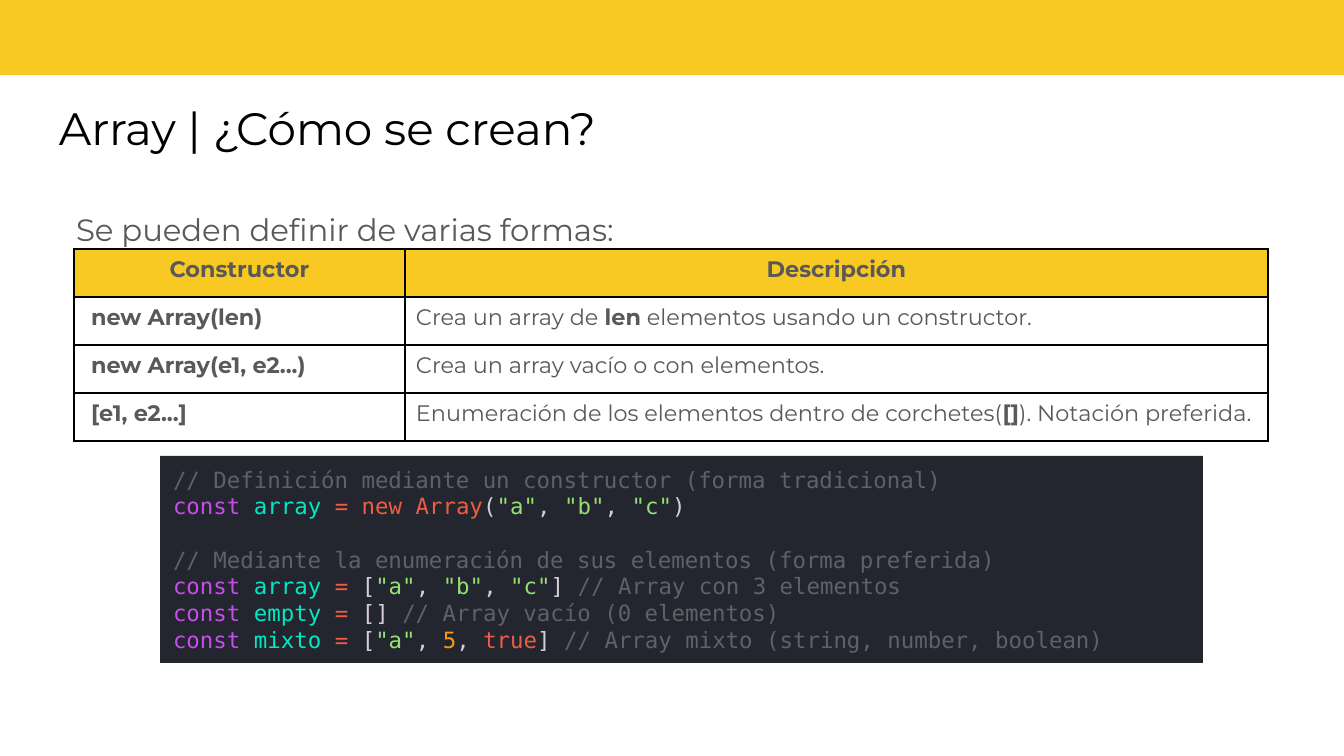
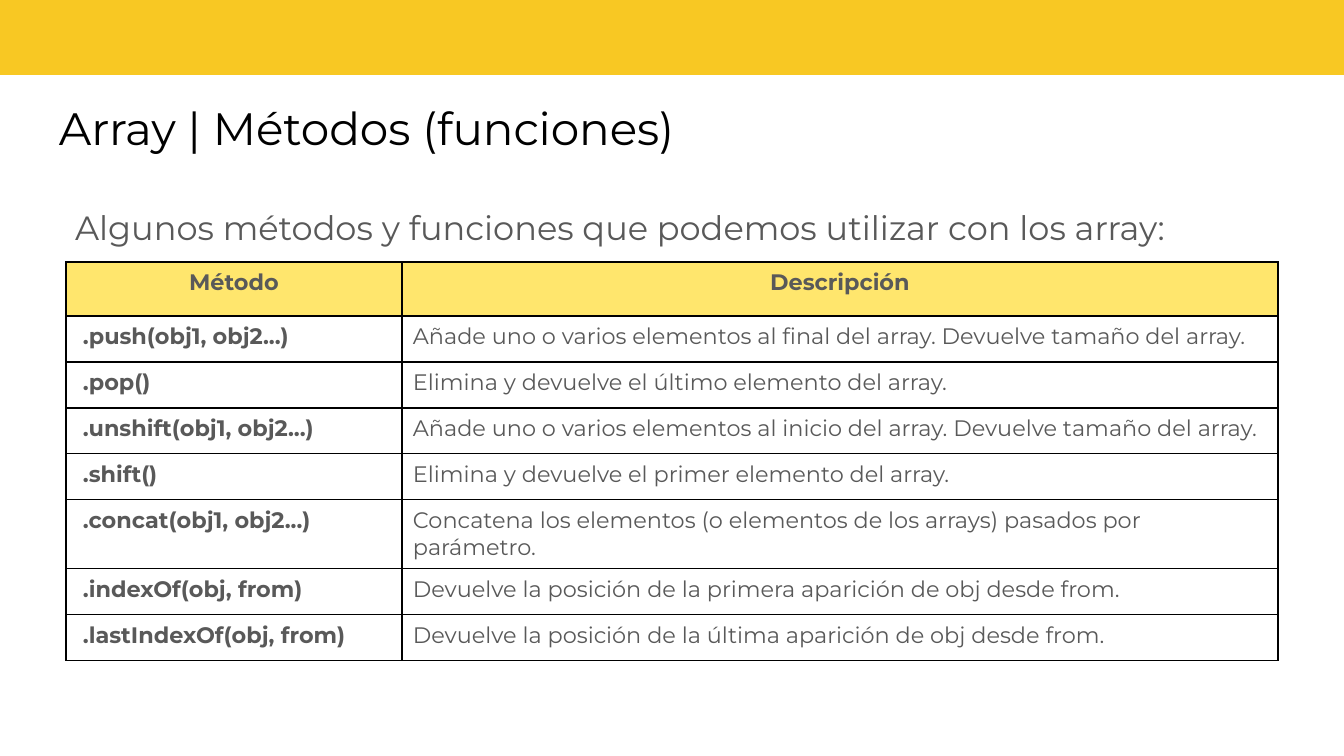
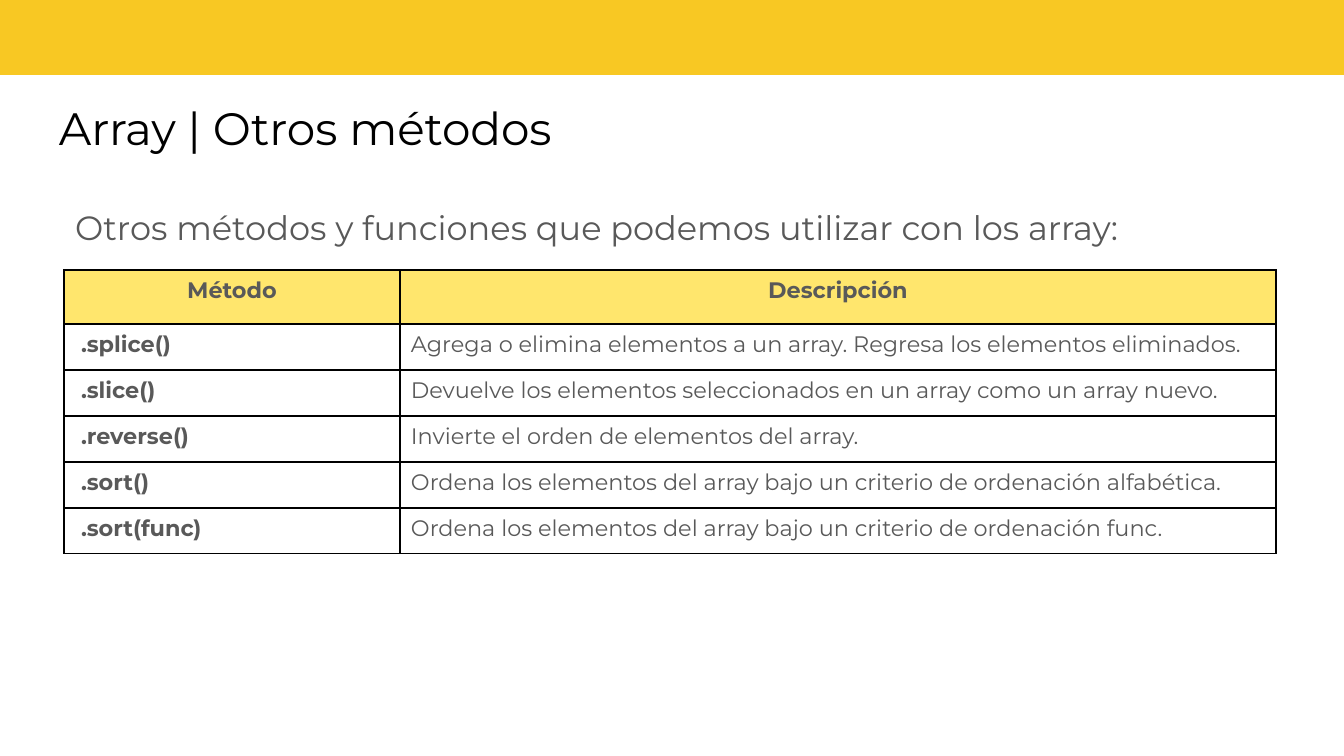
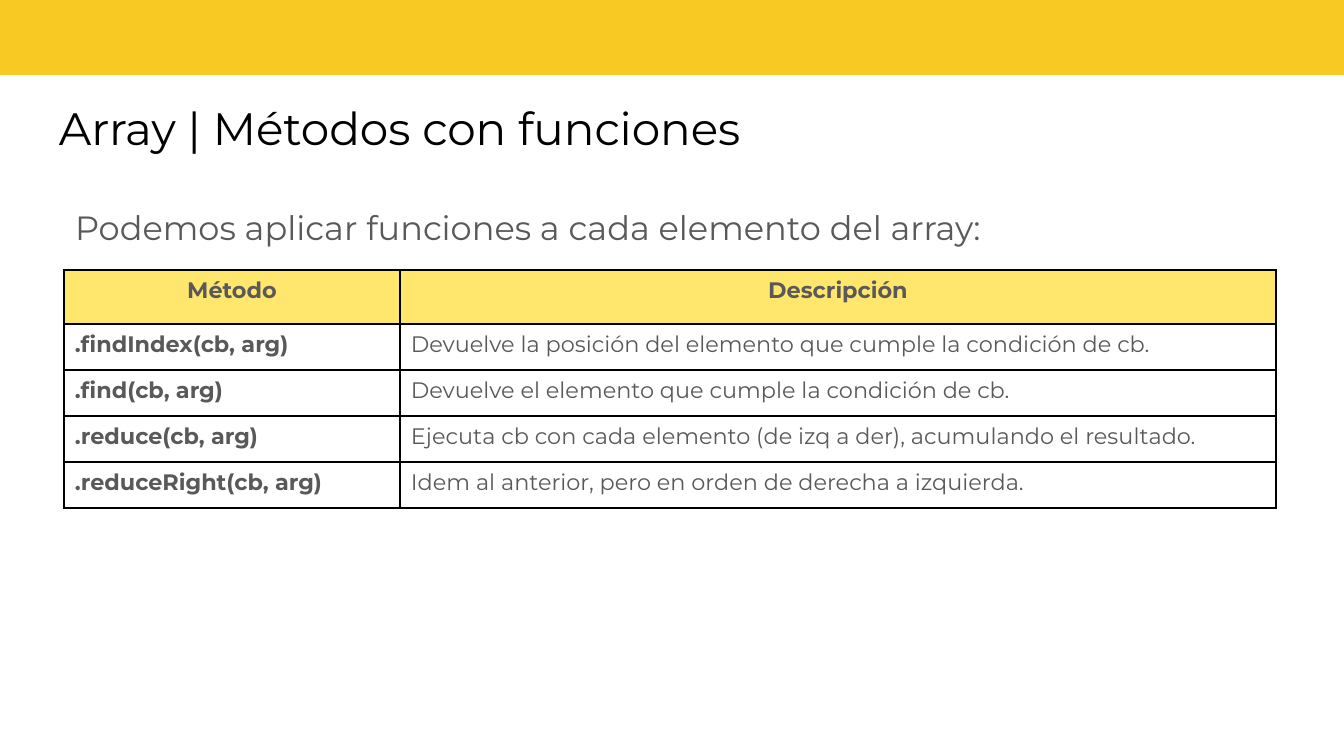
"""Build four slides on creating and using JavaScript arrays."""
import dataclasses

import pptx
import pptx.dml.color
import pptx.enum.shapes
import pptx.enum.text
import pptx.oxml
import pptx.oxml.ns
import pptx.util

PX = 9144000 / 1344
ALIGN = pptx.enum.text.PP_ALIGN
ANCHOR = pptx.enum.text.MSO_ANCHOR
RECT = pptx.enum.shapes.MSO_SHAPE.RECTANGLE
rgb = pptx.dml.color.RGBColor.from_string


@dataclasses.dataclass(frozen=True)
class Theme:
    band: str = "F8C823"
    pale: str = "FFE66D"
    title: str = "000000"
    text: str = "595959"
    border: str = "000000"
    code_bg: str = "23262E"
    comment: str = "5F6167"
    const: str = "C74DED"
    name: str = "00E8C6"
    keyword: str = "EE5D43"
    plain: str = "D5CED9"
    string: str = "96E072"
    number: str = "F39C12"
    font: str = "Montserrat"
    mono: str = "DejaVu Sans Mono"
    title_size: float = 24.3
    small: float = 12


T = Theme()


def px(*values):
    return [pptx.util.Emu(round(v * PX)) for v in values]


def style(p, size, color, bold=False, font=T.font):
    p.font.name, p.font.size, p.font.bold = font, pptx.util.Pt(size), bold
    p.font.color.rgb = rgb(color)


METHOD_HEAD = ("Método", "Descripción")
slides = [
    dict(title="Array | ¿Cómo se crean?", lead="Se pueden definir de varias formas:",
         lead_at=(63, 192), lead_size=16.5, after=0, table_at=(74, 249), cols=(331, 863),
         heights=[48] * 4, head_fill=T.band, indent=17,
         rows=[("Constructor", "Descripción"),
               ("new Array(len)", "Crea un array de **len** elementos usando un constructor."),
               ("new Array(e1, e2...)", "Crea un array vacío o con elementos."),
               ("[e1, e2...]", "Enumeración de los elementos dentro de corchetes(**[]**). Notación preferida.")]),
    dict(title="Array | Métodos (funciones)",
         lead="Algunos métodos y funciones que podemos utilizar con los array:",
         table_at=(66, 262), heights=[54] + [46] * 4 + [69] + [46] * 2, indent=17,
         rows=[METHOD_HEAD,
               (".push(obj1, obj2...)", "Añade uno o varios elementos al final del array. Devuelve tamaño del array."),
               (".pop()", "Elimina y devuelve el último elemento del array."),
               (".unshift(obj1, obj2...)", "Añade uno o varios elementos al inicio del array. Devuelve tamaño del array."),
               (".shift()", "Elimina y devuelve el primer elemento del array."),
               (".concat(obj1, obj2...)", "Concatena los elementos (o elementos de los arrays) pasados por parámetro."),
               (".indexOf(obj, from)", "Devuelve la posición de la primera aparición de obj desde from."),
               (".lastIndexOf(obj, from)", "Devuelve la posición de la última aparición de obj desde from.")]),
    dict(title="Array | Otros métodos",
         lead="Otros métodos y funciones que podemos utilizar con los array:",
         table_at=(64, 270), heights=[54] + [46] * 5, indent=17,
         rows=[METHOD_HEAD,
               (".splice()", "Agrega o elimina elementos a un array. Regresa los elementos eliminados."),
               (".slice()", "Devuelve los elementos seleccionados en un array como un array nuevo."),
               (".reverse()", "Invierte el orden de elementos del array."),
               (".sort()", "Ordena los elementos del array bajo un criterio de ordenación alfabética."),
               (".sort(func)", "Ordena los elementos del array bajo un criterio de ordenación func.")]),
    dict(title="Array | Métodos con funciones",
         lead="Podemos aplicar funciones a cada elemento del array:",
         table_at=(64, 270), heights=[54] + [46] * 4, indent=11,
         rows=[METHOD_HEAD,
               (".findIndex(cb, arg)", "Devuelve la posición del elemento que cumple la condición de cb."),
               (".find(cb, arg)", "Devuelve el elemento que cumple la condición de cb."),
               (".reduce(cb, arg)", "Ejecuta cb con cada elemento (de izq a der), acumulando el resultado."),
               (".reduceRight(cb, arg)", "Idem al anterior, pero en orden de derecha a izquierda.")]),
]
defaults = dict(lead_at=(62, 188), lead_size=18, after=12, cols=(336, 876), head_fill=T.pale)

CONST = (T.const, "const ")
EQUALS = (T.keyword, "= ")
COMMA = (T.plain, ", ")
ABC = [(T.string, '"a"'), COMMA, (T.string, '"b"'), COMMA, (T.string, '"c"')]
code = [
    [(T.comment, "// Definición mediante un constructor (forma tradicional)")],
    [CONST, (T.name, "array "), (T.keyword, "= new Array"), (T.plain, "("), *ABC, (T.plain, ")")],
    [(T.comment, "// Mediante la enumeración de sus elementos (forma preferida)")],
    [CONST, (T.name, "array "), EQUALS, (T.plain, "["), *ABC, (T.plain, "] "),
     (T.comment, "// Array con 3 elementos")],
    [CONST, (T.name, "empty "), EQUALS, (T.plain, "[] "),
     (T.comment, "// Array vacío (0 elementos)")],
    [CONST, (T.name, "mixto "), EQUALS, (T.plain, "["), (T.string, '"a"'), COMMA,
     (T.number, "5"), COMMA, (T.keyword, "true"), (T.plain, "] "),
     (T.comment, "// Array mixto (string, number, boolean)")],
]

prs = pptx.Presentation()
prs.slide_width, prs.slide_height = px(1344, 756)

for d in slides:
    d = defaults | d
    s = prs.slides.add_slide(prs.slide_layouts[6])
    band = s.shapes.add_shape(RECT, *px(-1, -7, 1348, 82))
    band.shadow.inherit = False
    band.fill.solid()
    band.fill.fore_color.rgb = rgb(T.band)
    band.line.fill.background()

    for text, box, size, color, spacing, after in (
            (d["title"], (46, 87, 1250, 85), T.title_size, T.title, 1.0, 0),
            (d["lead"], (*d["lead_at"], 1218, 488), d["lead_size"], T.text, 1.15, d["after"])):
        tf = s.shapes.add_textbox(*px(*box)).text_frame
        tf.word_wrap = True
        tf.margin_left = tf.margin_right = tf.margin_top = tf.margin_bottom = px(13)[0]
        p = tf.paragraphs[0]
        p.text, p.line_spacing, p.space_after = text, spacing, pptx.util.Pt(after)
        style(p, size, color)

    rows = d["rows"]
    table = s.shapes.add_table(
        len(rows), 2, *px(*d["table_at"], sum(d["cols"]), sum(d["heights"]))).table
    table.first_row = table.horz_banding = False
    for col, width in zip(table.columns, px(*d["cols"])):
        col.width = width
    for row, height in zip(table.rows, px(*d["heights"])):
        row.height = height
    for i, row in enumerate(rows):
        for j, text in enumerate(row):
            cell = table.cell(i, j)
            head = i == 0
            indent = 11 if head or j else d["indent"]
            cell.margin_left, cell.margin_right, cell.margin_top, cell.margin_bottom = px(indent, 11, 7, 7)
            if head:
                cell.fill.solid()
                cell.fill.fore_color.rgb = rgb(d["head_fill"])
            else:
                cell.fill.background()
            p = cell.text_frame.paragraphs[0]
            p.alignment = ALIGN.CENTER if head else ALIGN.LEFT
            style(p, T.small, T.text, head or j == 0)
            for k, part in enumerate(text.split("**")):
                r = p.add_run()
                r.text = part
                if k % 2:
                    r.font.bold = True
            for k, side in enumerate("LRTB"):
                cell._tc.get_or_add_tcPr().insert(k, pptx.oxml.parse_xml(
                    f'<a:ln{side} {pptx.oxml.ns.nsdecls("a")} w="9525"><a:solidFill>'
                    f'<a:srgbClr val="{T.border}"/></a:solidFill></a:ln{side}>'))

sp = prs.slides[0].shapes.add_shape(RECT, *px(160, 456, 1043, 207))
sp.shadow.inherit = False
sp.fill.solid()
sp.fill.fore_color.rgb = rgb(T.code_bg)
sp.line.fill.background()
tf = sp.text_frame
tf.word_wrap = True
tf.vertical_anchor = ANCHOR.MIDDLE
tf.margin_left, tf.margin_right, tf.margin_top, tf.margin_bottom = px(13, 13, 7, 7)
for i, tokens in enumerate(code):
    p = tf.add_paragraph() if i else tf.paragraphs[0]
    p.alignment = ALIGN.LEFT
    p.space_before = pptx.util.Pt(14 if i == 2 else 0)
    style(p, T.small, T.plain, font=T.mono)
    for color, text in tokens:
        r = p.add_run()
        r.text = text
        r.font.color.rgb = rgb(color)

prs.save("out.pptx")
